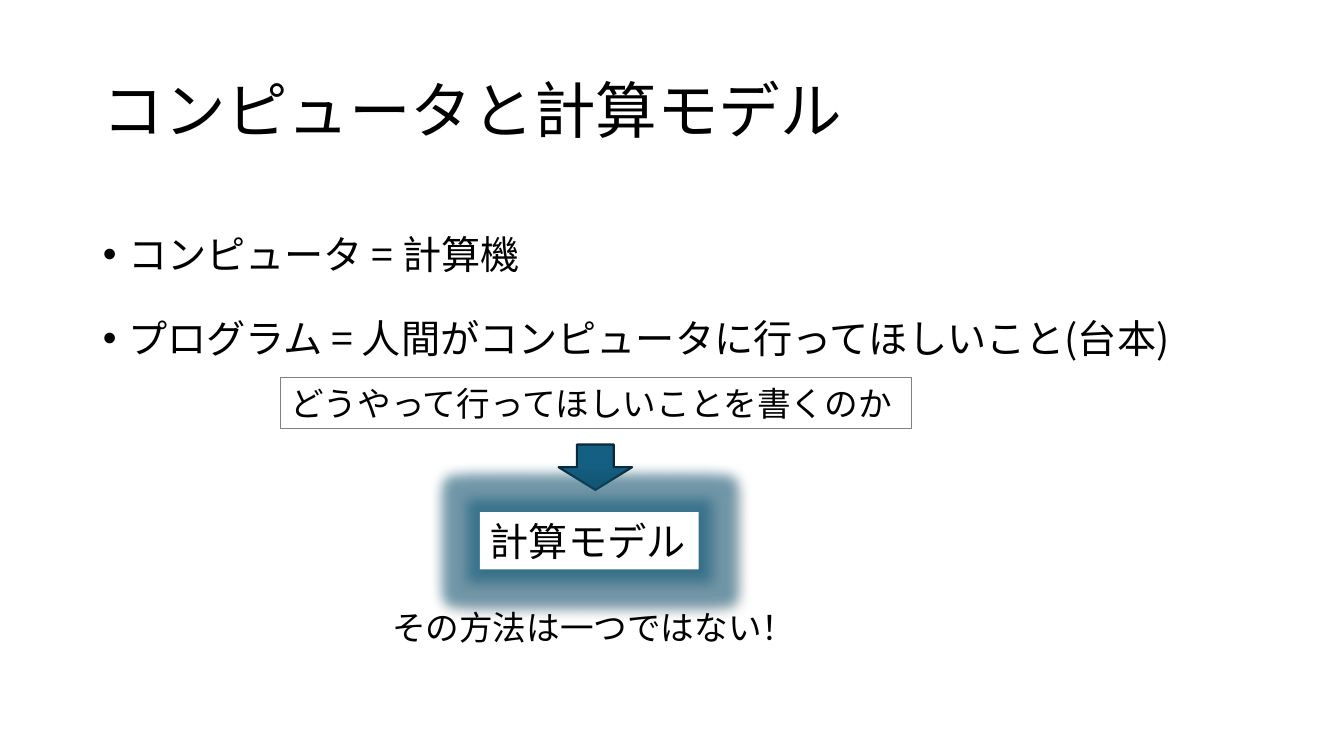
from dataclasses import dataclass

from lxml.etree import SubElement
from pptx import Presentation
from pptx.dml.color import RGBColor
from pptx.enum.shapes import MSO_SHAPE as Shape
from pptx.enum.text import MSO_ANCHOR as Anchor, MSO_AUTO_SIZE as AutoSize, PP_ALIGN as Align
from pptx.oxml.ns import qn
from pptx.util import Pt

TITLE = "コンピュータと計算モデル"
BULLETS = [
    "コンピュータ = 計算機",
    "プログラム = 人間がコンピュータに行ってほしいこと(台本)",
]
QUESTION = "どうやって行ってほしいことを書くのか"
ANSWER = "計算モデル"
REMARK = "その方法は一つではない！"

SLIDE_SIZE = (1333, 750)
TITLE_BOX = (92, 40, 1150, 145)
BULLET_BOX = (92, 200, 1150, 175)
QUESTION_BOX = (278, 375, 626, 50)
ARROW_BOX = (554, 441, 73, 45)
ANSWER_BOX = (476, 508, 217, 57)
REMARK_BOX = (379, 597, 424, 50)
BULLET_INDENT = 25


@dataclass(frozen=True)
class Theme:
    font: str = "Noto Sans CJK JP"
    text: str = "000000"
    paper: str = "FFFFFF"
    border: str = "808080"
    accent: str = "156082"
    accent_dark: str = "092A39"
    title_size: int = 44
    large_size: int = 28
    small_size: int = 24


THEME = Theme()
EMU_PER_PX = 9144


def px(length):
    return length * EMU_PER_PX


def place(shape, box):
    shape.left, shape.top, shape.width, shape.height = map(px, box)


def format_text(text_frame, size):
    for paragraph in text_frame.paragraphs:
        paragraph.alignment = Align.LEFT
        for run in paragraph.runs:
            run.font.size = Pt(size)
            run.font.name = THEME.font
            run.font.color.rgb = RGBColor.from_string(THEME.text)
            SubElement(run.font._element, qn("a:ea"), typeface=THEME.font)


def paint(shape, fill, line=None, width=0):
    shape.shadow.inherit = False
    shape.fill.solid()
    shape.fill.fore_color.rgb = RGBColor.from_string(fill)
    if line:
        shape.line.color.rgb = RGBColor.from_string(line)
        shape.line.width = Pt(width)
    else:
        shape.line.fill.background()


def write_label(shape, text, size):
    text_frame = shape.text_frame
    text_frame.text = text
    text_frame.word_wrap = False
    text_frame.auto_size = AutoSize.SHAPE_TO_FIT_TEXT
    format_text(text_frame, size)


def add_effect_color(effect, color, percent):
    element = SubElement(effect, qn("a:srgbClr"), val=color)
    SubElement(element, qn("a:alpha"), val=str(percent * 1000))


def add_glow(shape):
    effects = shape._element.spPr.find(qn("a:effectLst"))
    glow = SubElement(effects, qn("a:glow"), rad=str(Pt(18)))
    add_effect_color(glow, THEME.accent, 50)
    shadow = SubElement(effects, qn("a:outerShdw"), blurRad=str(Pt(4)),
                        dist=str(Pt(3)), dir=str(45 * 60000), algn="tl", rotWithShape="0")
    add_effect_color(shadow, THEME.text, 40)


def fill_title(shape):
    place(shape, TITLE_BOX)
    text_frame = shape.text_frame
    text_frame.text = TITLE
    text_frame.vertical_anchor = Anchor.MIDDLE
    text_frame.auto_size = AutoSize.NONE
    text_frame.paragraphs[0].line_spacing = 0.9
    format_text(text_frame, THEME.title_size)


def fill_bullets(shape):
    place(shape, BULLET_BOX)
    text_frame = shape.text_frame
    text_frame.text = "\n".join(BULLETS)
    text_frame.auto_size = AutoSize.NONE
    for paragraph in text_frame.paragraphs:
        paragraph.line_spacing = 1.5
        paragraph.space_before = Pt(10)
        properties = paragraph._p.get_or_add_pPr()
        properties.set("marL", str(px(BULLET_INDENT)))
        properties.set("indent", str(-px(BULLET_INDENT)))
        SubElement(properties, qn("a:buFont"), typeface="Arial")
        SubElement(properties, qn("a:buChar"), char="•")
    format_text(text_frame, THEME.large_size)


def main():
    presentation = Presentation()
    presentation.slide_width, presentation.slide_height = map(px, SLIDE_SIZE)
    slide = presentation.slides.add_slide(presentation.slide_layouts[1])
    shapes = slide.shapes
    fill_title(shapes.title)
    fill_bullets(slide.placeholders[1])

    question = shapes.add_shape(Shape.RECTANGLE, *map(px, QUESTION_BOX))
    paint(question, THEME.paper, THEME.border, 0.75)
    write_label(question, QUESTION, THEME.small_size)

    arrow = shapes.add_shape(Shape.DOWN_ARROW, *map(px, ARROW_BOX))
    paint(arrow, THEME.accent, THEME.accent_dark, 1.5)

    answer = shapes.add_shape(Shape.RECTANGLE, *map(px, ANSWER_BOX))
    paint(answer, THEME.paper)
    add_glow(answer)
    write_label(answer, ANSWER, THEME.large_size)

    remark = shapes.add_textbox(*map(px, REMARK_BOX))
    write_label(remark, REMARK, THEME.small_size)

    presentation.save("out.pptx")


if __name__ == "__main__":
    main()
